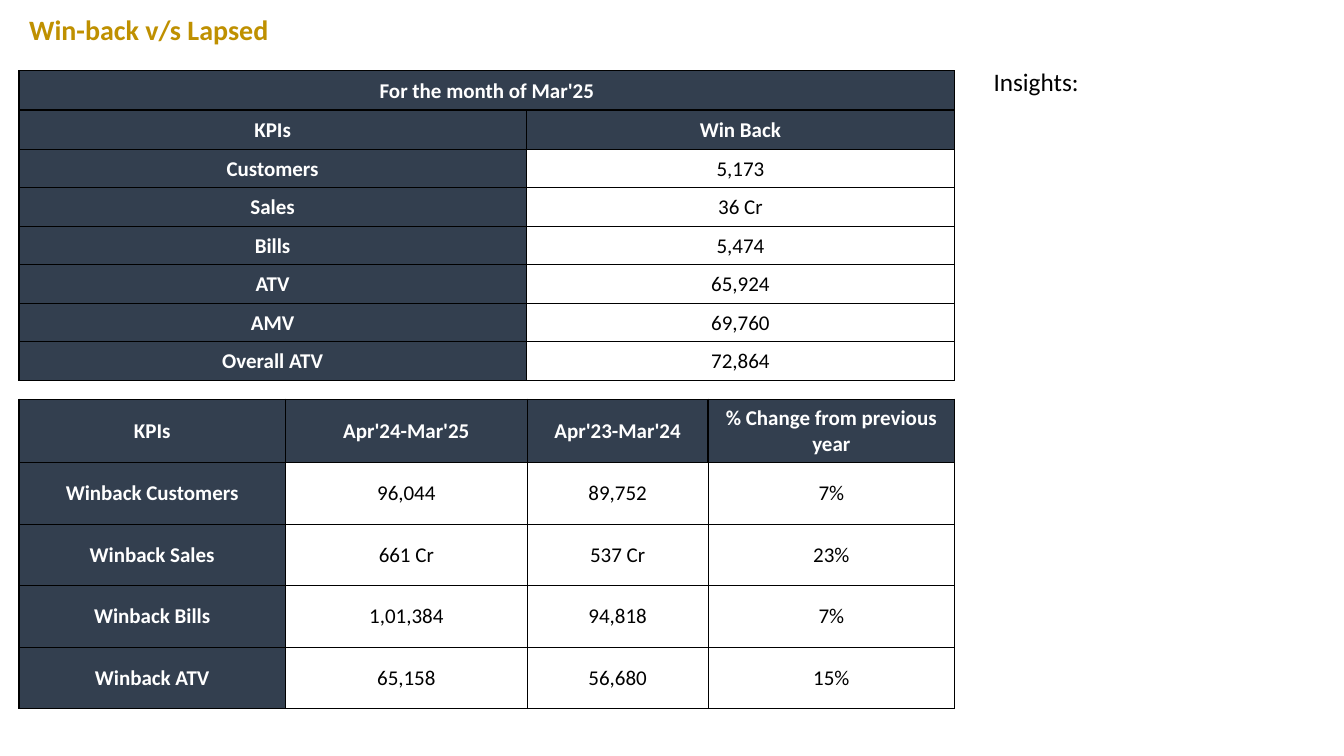
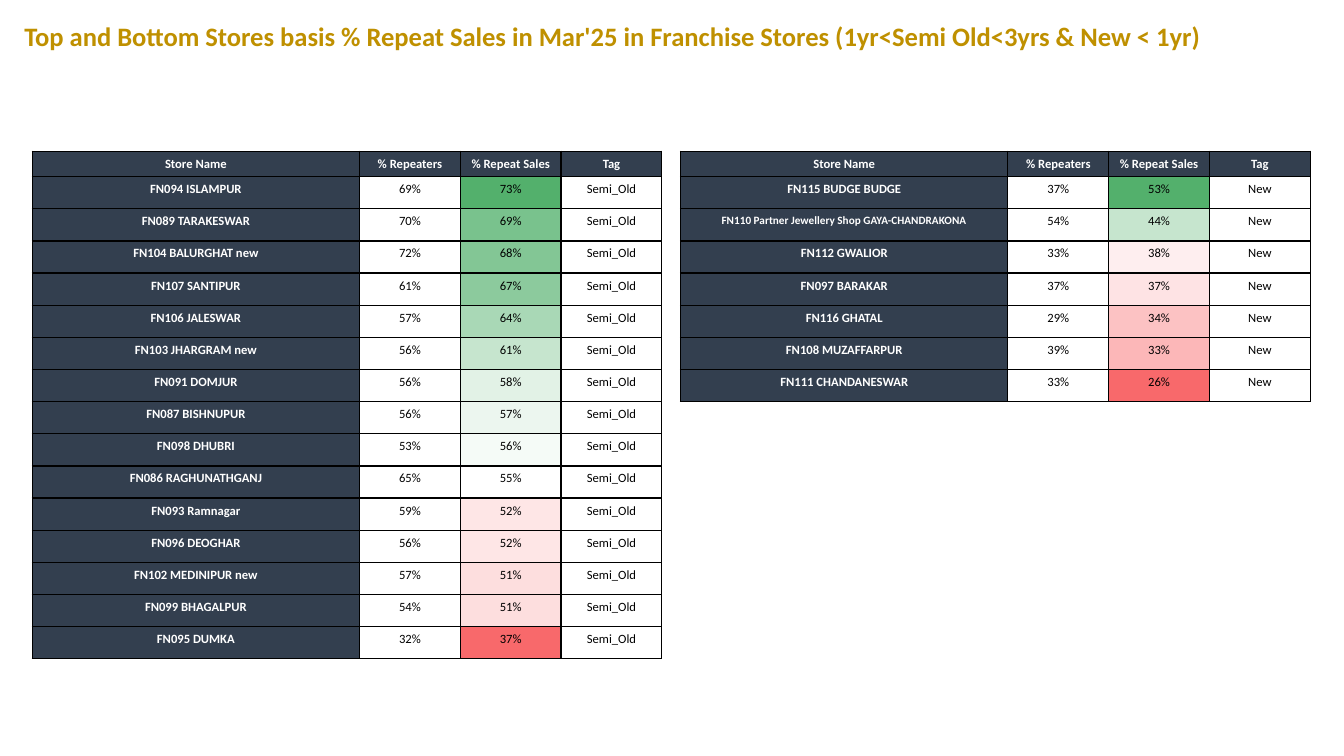
"""Build two slides on win-back customers and repeat sales by store."""
from dataclasses import dataclass

from lxml import etree
from pptx import Presentation
from pptx.dml.color import RGBColor
from pptx.enum.text import MSO_ANCHOR, MSO_AUTO_SIZE, PP_ALIGN
from pptx.oxml.ns import qn
from pptx.util import Cm, Pt

CENTER, LEFT = PP_ALIGN.CENTER, PP_ALIGN.LEFT
TOP, MIDDLE = MSO_ANCHOR.TOP, MSO_ANCHOR.MIDDLE
NO_AUTOFIT = MSO_AUTO_SIZE.NONE
FONT_NAME = "Calibri"
TITLE_ONLY_LAYOUT = 5
HEAVY_LINE, THIN_LINE = 1, 0.5
LONG_NAME_LENGTH = 30
COLORS = {
    "gold": "BF9000",
    "navy": "333F4F",
    "white": "FFFFFF",
    "black": "000000",
    "low": "F8696B",
    "high": "53B06C",
}
FRAME_FORMAT = {"word_wrap": True, "auto_size": NO_AUTOFIT, "vertical_anchor": TOP}
TIGHT_CELL = {
    "vertical_anchor": MIDDLE,
    "margin_left": Cm(0.03),
    "margin_right": Cm(0.03),
    "margin_top": Cm(0.03),
    "margin_bottom": 0,
}
STORE_COLUMNS = (8.25, 2.54, 2.54, 2.54)
STORE_HEADING = ("Store Name", "% Repeaters", "% Repeat Sales", "Tag")


@dataclass
class TextSpec:
    text: str
    box: tuple[float, float, float, float]
    size: float
    color: str
    bold: bool


@dataclass
class TableSpec:
    left: float
    top: float
    columns: tuple[float, ...]
    heading_height: float
    row_height: float
    rows: list[tuple]
    size: float
    cell_format: dict
    inner_line: float
    heading_rows: int = 1
    scale_column: int | None = None


def store_rows(tag: str, stores: list[tuple[str, int, int]]) -> list[tuple]:
    body = [(name, f"{repeaters}%", f"{sales}%", tag) for name, repeaters, sales in stores]
    return [STORE_HEADING, *body]


WIN_BACK_TITLE = TextSpec("Win-back v/s Lapsed", (0.48, 0.18, 25.73, 1.12), 20, "gold", True)
INSIGHTS = TextSpec("Insights:", (24.79, 1.55, 8.59, 1.02), 18, "black", False)
STORES_TITLE = TextSpec(
    "Top and Bottom Stores basis % Repeat Sales in Mar'25 in Franchise Stores "
    "(1yr<Semi Old<3yrs & New < 1yr)",
    (0.36, 0.38, 33.5, 1.07), 19, "gold", True,
)
MONTH_TABLE = TableSpec(
    0.48, 1.78, (12.78, 10.8), 0.99, 0.97,
    [
        ("For the month of Mar'25", None),
        ("KPIs", "Win Back"),
        ("Customers", "5,173"),
        ("Sales", "36 Cr"),
        ("Bills", "5,474"),
        ("ATV", "65,924"),
        ("AMV", "69,760"),
        ("Overall ATV", "72,864"),
    ],
    15, TIGHT_CELL, THIN_LINE, heading_rows=2,
)
YEAR_TABLE = TableSpec(
    0.48, 10.06, (6.71, 6.1, 4.55, 6.22), 1.59, 1.55,
    [
        ("KPIs", "Apr'24-Mar'25", "Apr'23-Mar'24", "% Change from previous year"),
        ("Winback Customers", "96,044", "89,752", "7%"),
        ("Winback Sales", "661 Cr", "537 Cr", "23%"),
        ("Winback Bills", "1,01,384", "94,818", "7%"),
        ("Winback ATV", "65,158", "56,680", "15%"),
    ],
    15, TIGHT_CELL, THIN_LINE,
)
SEMI_OLD_STORES = [
    ("FN094 ISLAMPUR", 69, 73),
    ("FN089 TARAKESWAR", 70, 69),
    ("FN104 BALURGHAT new", 72, 68),
    ("FN107 SANTIPUR", 61, 67),
    ("FN106 JALESWAR", 57, 64),
    ("FN103 JHARGRAM new", 56, 61),
    ("FN091 DOMJUR", 56, 58),
    ("FN087 BISHNUPUR", 56, 57),
    ("FN098 DHUBRI", 53, 56),
    ("FN086 RAGHUNATHGANJ", 65, 55),
    ("FN093 Ramnagar", 59, 52),
    ("FN096 DEOGHAR", 56, 52),
    ("FN102 MEDINIPUR new", 57, 51),
    ("FN099 BHAGALPUR", 54, 51),
    ("FN095 DUMKA", 32, 37),
]
NEW_STORES = [
    ("FN115 BUDGE BUDGE", 37, 53),
    ("FN110 Partner Jewellery Shop GAYA-CHANDRAKONA", 54, 44),
    ("FN112 GWALIOR", 33, 38),
    ("FN097 BARAKAR", 37, 37),
    ("FN116 GHATAL", 29, 34),
    ("FN108 MUZAFFARPUR", 39, 33),
    ("FN111 CHANDANESWAR", 33, 26),
]
STORE_TABLES = [
    TableSpec(
        left, 3.81, STORE_COLUMNS, 0.51, 0.81, store_rows(tag, stores),
        9, {"vertical_anchor": TOP}, HEAVY_LINE, scale_column=2,
    )
    for left, tag, stores in (
        (0.81, "Semi_Old", SEMI_OLD_STORES),
        (17.15, "New", NEW_STORES),
    )
]


def apply_format(target, values: dict) -> None:
    for name, value in values.items():
        setattr(target, name, value)


def write_text(text_frame, text: str, size: float, color: str, bold: bool, alignment) -> None:
    paragraph = text_frame.paragraphs[0]
    paragraph.text = text
    paragraph.alignment = alignment
    font = paragraph.runs[0].font
    apply_format(font, {"name": FONT_NAME, "size": Pt(size), "bold": bold})
    font.color.rgb = RGBColor.from_string(COLORS[color])


def fill_text_shape(shape, spec: TextSpec) -> None:
    lengths = (Cm(value) for value in spec.box)
    apply_format(shape, dict(zip(("left", "top", "width", "height"), lengths)))
    apply_format(shape.text_frame, FRAME_FORMAT)
    write_text(shape.text_frame, spec.text, spec.size, spec.color, spec.bold, LEFT)


def scale_color(value: float, lowest: float, highest: float) -> str:
    middle = (lowest + highest) / 2
    share = abs(value - middle) / (highest - middle)
    end = COLORS["high" if value > middle else "low"]
    channels = (int(end[index:index + 2], 16) for index in (0, 2, 4))
    return "".join(f"{round(255 + (channel - 255) * share):02X}" for channel in channels)


def set_borders(cell, widths: dict[str, float]) -> None:
    properties = cell._tc.get_or_add_tcPr()
    for side, width in widths.items():
        line = etree.SubElement(properties, qn(f"a:ln{side}"), w=str(int(Pt(width))))
        fill = etree.SubElement(line, qn("a:solidFill"))
        etree.SubElement(fill, qn("a:srgbClr"), val=COLORS["black"])


def border_widths(spec: TableSpec, row: int, column: int) -> dict[str, float]:
    heading = row < spec.heading_rows
    heavy_sides = {
        "L": heading or column == 0,
        "R": heading or column == len(spec.columns) - 1,
        "T": row <= spec.heading_rows,
        "B": heading or row == len(spec.rows) - 1,
    }
    return {side: HEAVY_LINE if heavy else spec.inner_line for side, heavy in heavy_sides.items()}


def cell_fill(spec: TableSpec, row: int, column: int) -> str:
    if row < spec.heading_rows or column == 0:
        return COLORS["navy"]
    if column != spec.scale_column:
        return COLORS["white"]
    values = [int(cells[column].rstrip("%")) for cells in spec.rows[spec.heading_rows:]]
    return scale_color(values[row - spec.heading_rows], min(values), max(values))


def add_data_table(slide, spec: TableSpec) -> None:
    heights = [
        spec.heading_height if row < spec.heading_rows else spec.row_height
        for row in range(len(spec.rows))
    ]
    table = slide.shapes.add_table(
        len(spec.rows), len(spec.columns), Cm(spec.left), Cm(spec.top),
        Cm(sum(spec.columns)), Cm(sum(heights)),
    ).table
    apply_format(table, {"first_row": False, "horz_banding": False})
    for column, width in zip(table.columns, spec.columns):
        column.width = Cm(width)
    for row, (height, texts) in enumerate(zip(heights, spec.rows)):
        table.rows[row].height = Cm(height)
        for column, text in enumerate(texts):
            cell = table.cell(row, column)
            set_borders(cell, border_widths(spec, row, column))
            cell.fill.solid()
            cell.fill.fore_color.rgb = RGBColor.from_string(cell_fill(spec, row, column))
            apply_format(cell, spec.cell_format)
            if text is None:
                table.cell(row, column - 1).merge(cell)
                continue
            label = row < spec.heading_rows or column == 0
            size = spec.size - 1 if len(text) > LONG_NAME_LENGTH else spec.size
            write_text(cell.text_frame, text, size, "white" if label else "black", label, CENTER)


def add_titled_slide(presentation, title: TextSpec, tables: list[TableSpec]):
    slide = presentation.slides.add_slide(presentation.slide_layouts[TITLE_ONLY_LAYOUT])
    fill_text_shape(slide.shapes.title, title)
    for spec in tables:
        add_data_table(slide, spec)
    return slide


def main() -> None:
    presentation = Presentation()
    apply_format(presentation, {"slide_width": Cm(33.87), "slide_height": Cm(19.05)})
    win_back_slide = add_titled_slide(presentation, WIN_BACK_TITLE, [MONTH_TABLE, YEAR_TABLE])
    insights_box = win_back_slide.shapes.add_textbox(*(Cm(value) for value in INSIGHTS.box))
    fill_text_shape(insights_box, INSIGHTS)
    add_titled_slide(presentation, STORES_TITLE, STORE_TABLES)
    presentation.save("out.pptx")


if __name__ == "__main__":
    main()
